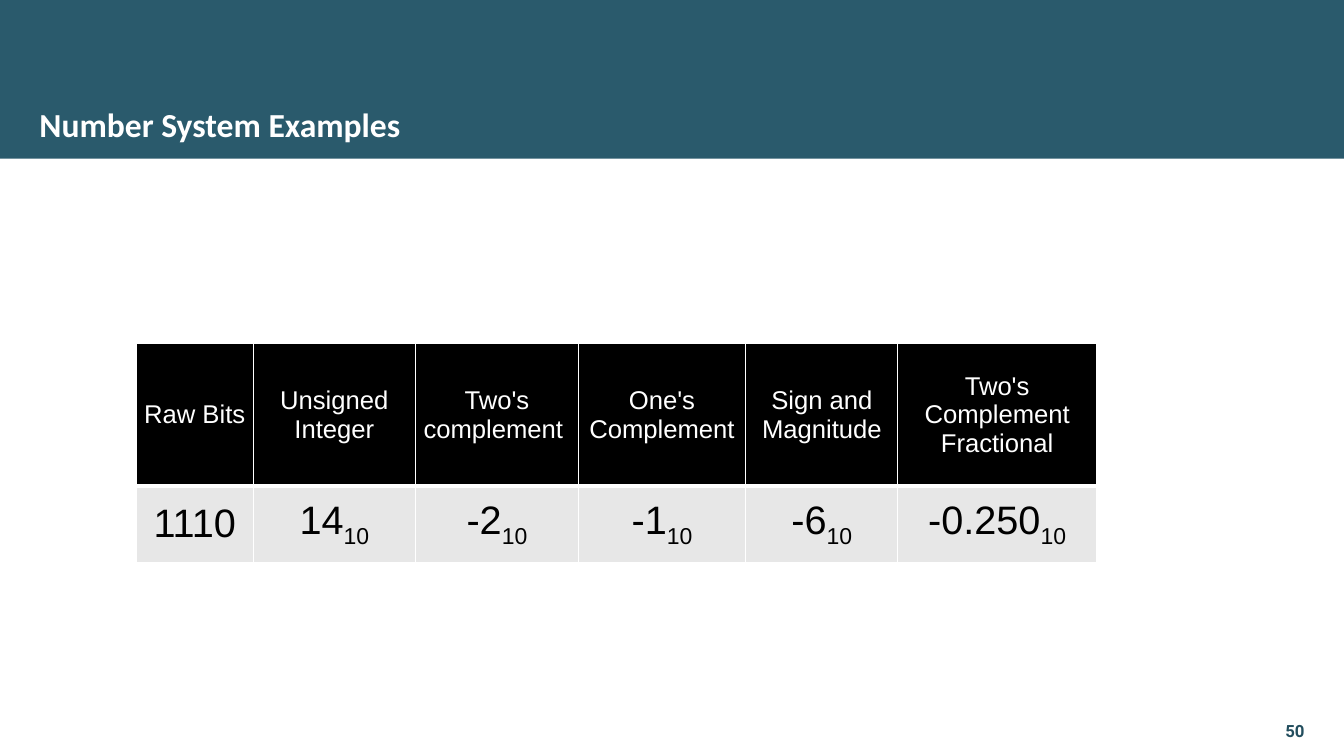
from lxml.etree import SubElement
from pptx import Presentation
from pptx.dml.color import RGBColor
from pptx.enum.shapes import MSO_SHAPE as Shape
from pptx.enum.text import MSO_ANCHOR as Anchor, PP_ALIGN as Align
from pptx.oxml import parse_xml
from pptx.oxml.ns import nsdecls, qn
from pptx.util import Pt

COLORS = {"band": "2A5A6C", "number": "234E5E", "white": "FFFFFF",
          "black": "000000", "value": "E7E7E7"}

TITLE = "Number System Examples"
PAGE = "50"
BASE = "10"
SYSTEMS = [
    ("Raw Bits", "1110", 100),
    ("Unsigned\nInteger", "14", 139.4),
    ("Two's complement ", "-2", 139.4),
    ("One's Complement", "-1", 143.6),
    ("Sign and Magnitude", "-6", 130.5),
    ("Two's Complement Fractional", "-0.250", 170),
]
ROW_HEIGHTS = (122, 65.4)
TABLE_LEFT, TABLE_TOP = 116.9, 294.6
SLIDE_W, SLIDE_H = 1152, 648


def rgb(name):
    return RGBColor.from_string(COLORS[name])


def write(frame, text, size, color, font="Arial", bold=False,
          align=Align.LEFT, anchor=Anchor.BOTTOM, subscript=""):
    frame.word_wrap = True
    frame.vertical_anchor = anchor
    for index, line in enumerate(text.split("\n")):
        paragraph = frame.paragraphs[0] if index == 0 else frame.add_paragraph()
        paragraph.alignment = align
        for part, shift in ((line, "0"), (subscript, "-25000")):
            if part:
                run = paragraph.add_run()
                run.text = part
                run.font.size, run.font.name = Pt(size), font
                run.font.bold = bold
                run.font.color.rgb = rgb(color)
                run.font._element.set("baseline", shift)


def no_margins(frame):
    frame.margin_left = frame.margin_right = Pt(0)
    frame.margin_top = frame.margin_bottom = Pt(0)


def place(shape, left, top, width, height):
    shape.left, shape.top = Pt(left), Pt(top)
    shape.width, shape.height = Pt(width), Pt(height)


def add_borders(cell, bottom):
    properties = cell._tc.get_or_add_tcPr()
    for index, side in enumerate("LRTB"):
        width = Pt(bottom if side == "B" else 1)
        line = parse_xml(f'<a:ln{side} {nsdecls("a")} w="{width}"/>')
        fill = SubElement(line, qn("a:solidFill"))
        SubElement(fill, qn("a:srgbClr"), val=COLORS["white"])
        properties.insert(index, line)


def fill_cell(cell, text, size, color, fill, bottom, subscript=""):
    cell.margin_left = cell.margin_right = Pt(3.6)
    cell.margin_top = cell.margin_bottom = Pt(3.6)
    cell.vertical_anchor = Anchor.MIDDLE
    cell.fill.solid()
    cell.fill.fore_color.rgb = rgb(fill)
    add_borders(cell, bottom)
    write(cell.text_frame, text, size, color, align=Align.CENTER,
          anchor=Anchor.MIDDLE, subscript=subscript)


def add_systems(slide):
    widths = [width for _, _, width in SYSTEMS]
    table = slide.shapes.add_table(
        2, len(SYSTEMS), Pt(TABLE_LEFT), Pt(TABLE_TOP),
        Pt(sum(widths)), Pt(sum(ROW_HEIGHTS))).table
    table.horz_banding = False
    for row, height in zip(table.rows, ROW_HEIGHTS):
        row.height = Pt(height)
    for column, (heading, value, width) in enumerate(SYSTEMS):
        table.columns[column].width = Pt(width)
        fill_cell(table.cell(0, column), heading, 22, "white", "black", 3)
        fill_cell(table.cell(1, column), value, 34, "black", "value", 1,
                  subscript=BASE if column else "")


def main():
    deck = Presentation()
    deck.slide_width, deck.slide_height = Pt(SLIDE_W), Pt(SLIDE_H)
    slide = deck.slides.add_slide(deck.slide_layouts[5])

    band = slide.shapes.add_shape(Shape.RECTANGLE, 0, 0, Pt(SLIDE_W), Pt(136))
    band.shadow.inherit = False
    band.fill.solid()
    band.fill.fore_color.rgb = rgb("band")
    band.line.fill.background()
    slide.shapes._spTree.insert(2, band._element)

    title = slide.shapes.title
    place(title, 33.8, 38.9, 832.3, 85)
    no_margins(title.text_frame)
    write(title.text_frame, TITLE, 28.8, "white", font="Calibri", bold=True)

    number = slide.shapes.add_textbox(Pt(1072.8), Pt(603.4), Pt(45.4), Pt(31.7))
    no_margins(number.text_frame)
    write(number.text_frame, PAGE, 14.4, "number", font="Roboto", bold=True,
          align=Align.RIGHT)

    add_systems(slide)
    deck.save("out.pptx")


if __name__ == "__main__":
    main()
